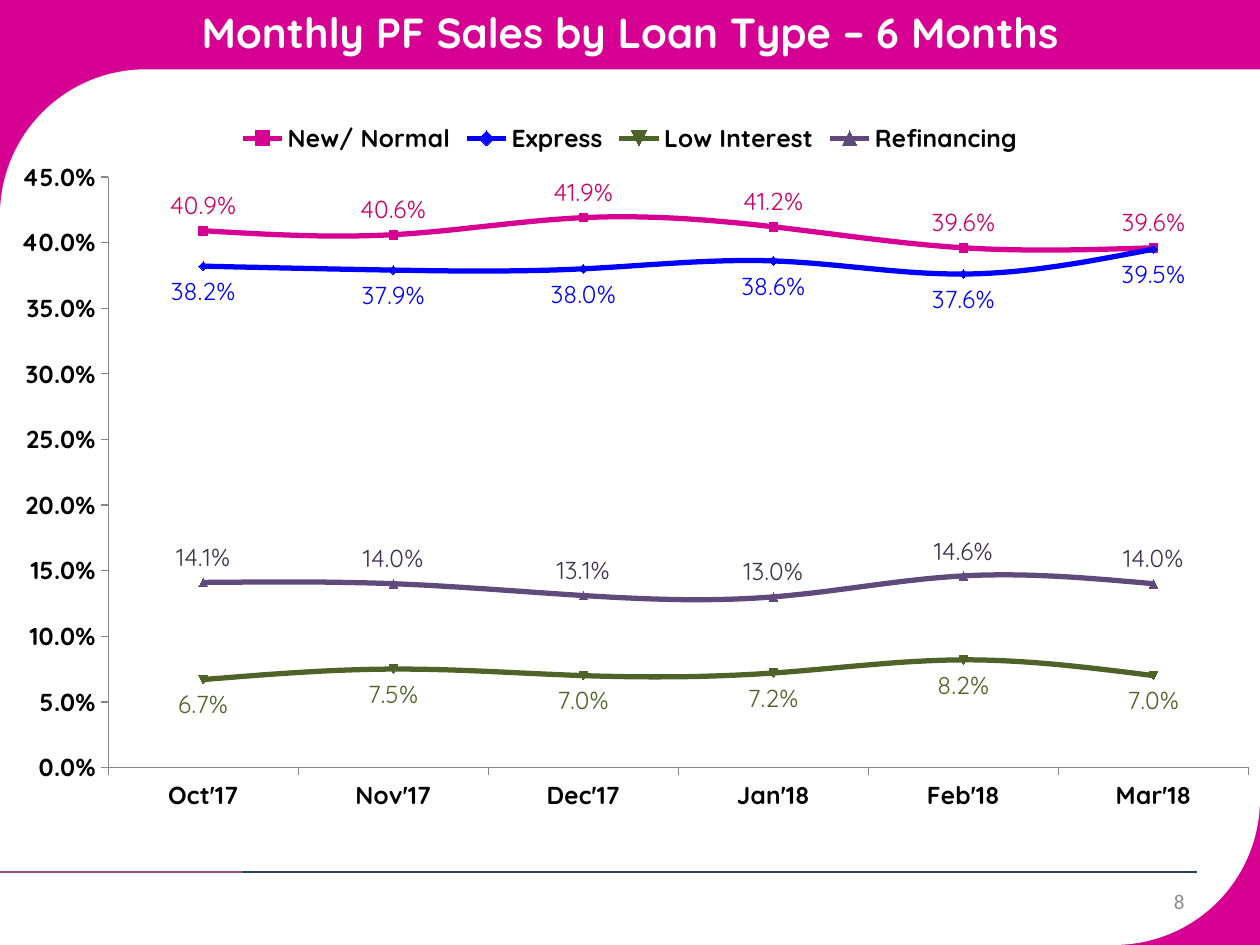
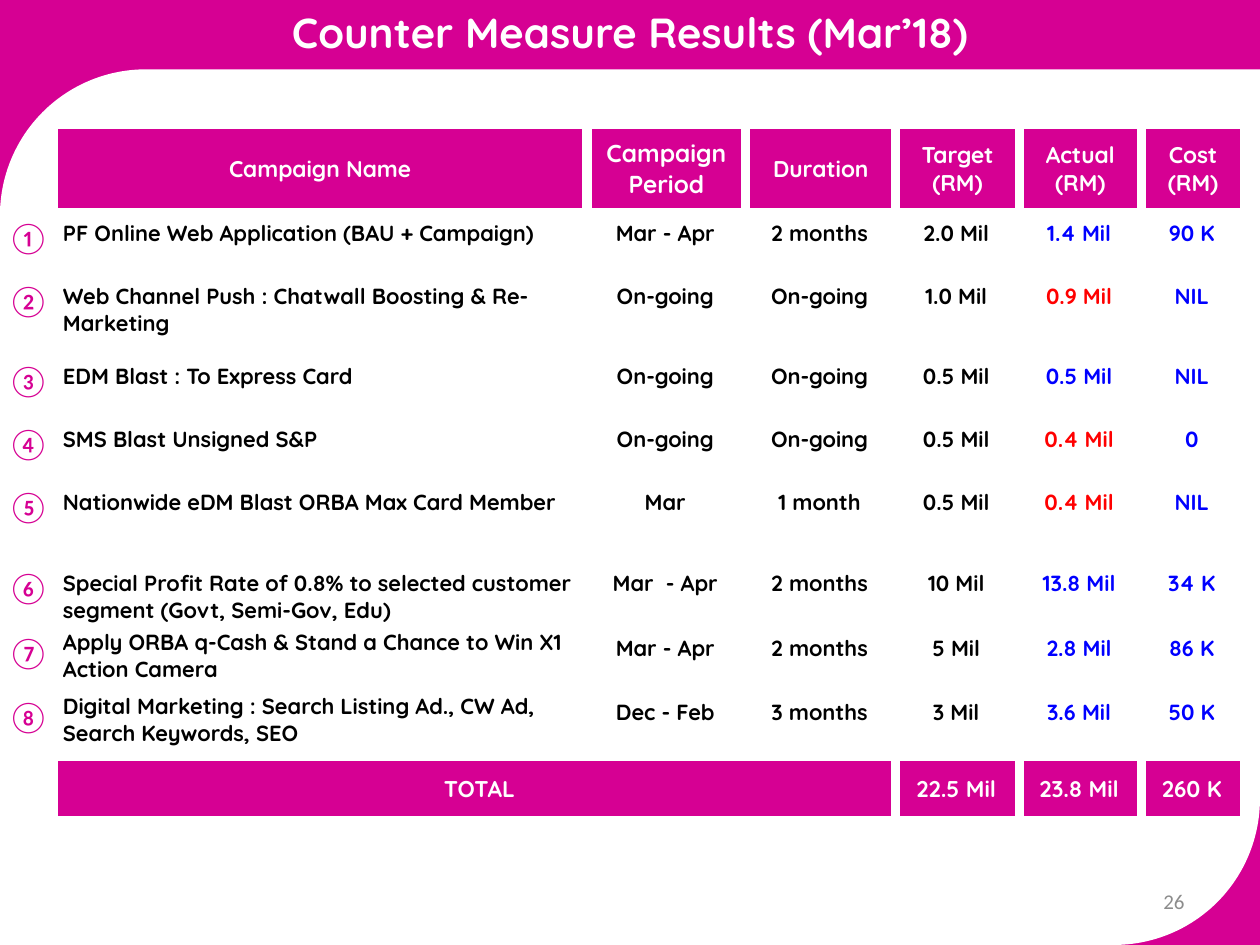
from dataclasses import dataclass

from lxml import etree
from pptx import Presentation
from pptx.chart.data import CategoryChartData
from pptx.dml.color import RGBColor
from pptx.enum.chart import XL_CHART_TYPE as ChartType
from pptx.enum.chart import XL_LABEL_POSITION as LabelPos
from pptx.enum.chart import XL_LEGEND_POSITION as LegendPos
from pptx.enum.chart import XL_MARKER_STYLE as Marker
from pptx.enum.chart import XL_TICK_MARK as Tick
from pptx.enum.shapes import MSO_CONNECTOR as Connector
from pptx.enum.shapes import MSO_SHAPE as Shape
from pptx.enum.text import MSO_ANCHOR as Anchor
from pptx.enum.text import PP_ALIGN as Align
from pptx.oxml.ns import qn
from pptx.util import Inches, Pt


@dataclass(frozen=True)
class Theme:
    font: str = "Quicksand"
    number_font: str = "Calibri"
    brand: str = "D60093"
    white: str = "FFFFFF"
    black: str = "000000"
    blue: str = "0000FF"
    red: str = "FF0000"
    green: str = "4F6228"
    purple: str = "604A7B"
    grey: str = "8C8C8C"
    axis: str = "868686"
    rule_short: str = "9D4D7D"
    rule_long: str = "254061"
    title_size: float = 24
    chart_size: float = 14
    page_size: float = 12
    header_size: float = 13
    body_size: float = 12.5
    bullet_size: float = 18


T = Theme()
NO_STYLE = "{2D5ABB26-0587-4C30-8999-92F81FD0307C}"


@dataclass(frozen=True)
class LoanSeries:
    name: str
    values: tuple[float, ...]
    color: str
    label_color: str
    label_pos: LabelPos


@dataclass(frozen=True)
class Campaign:
    name: str
    period: str
    duration: str
    target: str
    actual: str
    cost: str
    actual_color: str = T.blue
    tight: bool = False


@dataclass(frozen=True)
class CellStyle:
    size: float = T.body_size
    color: str = T.black
    font: str = T.font
    bold: bool = True
    align: Align = Align.CENTER
    anchor: Anchor = Anchor.TOP
    fill: str | None = None
    borders: str = ""
    insets: tuple[float, ...] = (0.08, 0.05, 0.1, 0.05)


MONTHS = ("Oct'17", "Nov'17", "Dec'17", "Jan'18", "Feb'18", "Mar'18")
LOANS = (
    LoanSeries("New/ Normal", (0.409, 0.406, 0.419, 0.412, 0.396, 0.396),
               T.brand, "CC0066", LabelPos.ABOVE),
    LoanSeries("Express", (0.382, 0.379, 0.38, 0.386, 0.376, 0.395),
               T.blue, T.blue, LabelPos.BELOW),
    LoanSeries("Low Interest", (0.067, 0.075, 0.07, 0.072, 0.082, 0.07),
               T.green, T.green, LabelPos.BELOW),
    LoanSeries("Refinancing", (0.141, 0.14, 0.131, 0.13, 0.146, 0.14),
               T.purple, "403152", LabelPos.ABOVE),
)

COLUMNS = (0.46, 4.24, 1.26, 1.19, 0.98, 0.97, 0.82)
ROWS = (0.7, 0.5, 0.64, 0.5, 0.5, 0.64, 0.5, 0.51, 0.51, 0.51)
HEADERS = ("Campaign Name", "Campaign\nPeriod", "Duration",
           "Target\n(RM)", "Actual\n(RM)", "Cost\n(RM)")
BULLETS = "①②③④⑤⑥⑦⑧"
CAMPAIGNS = (
    Campaign("PF Online Web Application (BAU + Campaign)",
             "Mar - Apr", "2 months", "2.0 Mil", "1.4 Mil", "90 K"),
    Campaign("Web Channel Push : Chatwall Boosting & Re-Marketing",
             "On-going", "On-going", "1.0 Mil", "0.9 Mil", "NIL", T.red),
    Campaign("EDM Blast : To Express Card",
             "On-going", "On-going", "0.5 Mil", "0.5 Mil", "NIL"),
    Campaign("SMS Blast Unsigned S&P",
             "On-going", "On-going", "0.5 Mil", "0.4 Mil", "0", T.red),
    Campaign("Nationwide eDM Blast ORBA Max Card Member",
             "Mar", "1 month", "0.5 Mil", "0.4 Mil", "NIL", T.red),
    Campaign("Special Profit Rate of 0.8% to selected customer segment (Govt, Semi-Gov, Edu)",
             "Mar  - Apr", "2 months", "10 Mil", "13.8 Mil", "34 K"),
    Campaign("Apply ORBA q-Cash & Stand a Chance to Win X1 Action Camera",
             "Mar - Apr", "2 months", "5 Mil", "2.8 Mil", "86 K", tight=True),
    Campaign("Digital Marketing : Search Listing Ad., CW Ad, Search Keywords, SEO",
             "Dec - Feb", "3 months", "3 Mil", "3.6 Mil", "50 K", tight=True),
)
TOTALS = ("22.5 Mil", "23.8 Mil", "260 K")


def rgb(color: str) -> RGBColor:
    return RGBColor.from_string(color)


def set_font(font, size: float, color: str, bold: bool = False, name: str = T.font) -> None:
    for attr, value in {"size": Pt(size), "bold": bold, "name": name}.items():
        setattr(font, attr, value)
    font.color.rgb = rgb(color)


# Shared slide frame
def add_panel(s, kind: Shape, top: float, color: str) -> None:
    sp = s.shapes.add_shape(kind, 0, Inches(top), Inches(10), Inches(7.5 - top))
    sp.shadow.inherit = False
    sp.fill.solid()
    sp.fill.fore_color.rgb = rgb(color)
    sp.line.fill.background()


def add_text(s, text: str, box: tuple[float, ...], align: Align, anchor: Anchor, **font) -> None:
    tf = s.shapes.add_textbox(*map(Inches, box)).text_frame
    tf.word_wrap = True
    tf.vertical_anchor = anchor
    p = tf.paragraphs[0]
    p.alignment = align
    r = p.add_run()
    r.text = text
    set_font(r.font, **font)


def add_frame(prs, title: str, page: int):
    s = prs.slides.add_slide(prs.slide_layouts[6])
    add_panel(s, Shape.RECTANGLE, 0, T.brand)
    add_panel(s, Shape.ROUND_2_DIAG_RECTANGLE, 0.55, T.white)
    add_text(s, str(page), (7.17, 6.95, 2.33, 0.4), Align.RIGHT, Anchor.MIDDLE,
             size=T.page_size, color=T.grey, name=T.number_font)
    add_text(s, title, (0, 0, 10, 0.8), Align.CENTER, Anchor.TOP,
             size=T.title_size, color=T.white, bold=True)
    return s


def add_rule(s, start: float, end: float, color: str) -> None:
    y = Inches(6.92)
    line = s.shapes.add_connector(Connector.STRAIGHT, Inches(start), y, Inches(end), y)
    line.line.color.rgb = rgb(color)
    line.line.width = Pt(1.25)
    etree.SubElement(line._element.spPr, qn("a:effectLst"))


# Loan type chart
def place_plot(chart, x: float, y: float, w: float, h: float) -> None:
    area = chart._chartSpace.chart.plotArea
    for old in area.findall(qn("c:layout")):
        area.remove(old)
    layout = etree.Element(qn("c:layout"))
    area.insert(0, layout)
    manual = etree.SubElement(layout, qn("c:manualLayout"))
    values = {"layoutTarget": "inner", "xMode": "edge", "yMode": "edge",
              "x": x, "y": y, "w": w, "h": h}
    for tag, value in values.items():
        etree.SubElement(manual, qn(f"c:{tag}")).set("val", str(value))


def style_series(series, loan: LoanSeries) -> None:
    series.smooth = True
    series.format.line.color.rgb = rgb(loan.color)
    series.format.line.width = Pt(3)
    marker = series.marker
    marker.style = Marker.AUTOMATIC
    marker.size = 5
    marker.format.fill.solid()
    marker.format.fill.fore_color.rgb = rgb(loan.color)
    marker.format.line.color.rgb = rgb(loan.color)
    labels = series.data_labels
    formats = {"show_value": True, "position": loan.label_pos,
               "number_format": "0.0%", "number_format_is_linked": False}
    for attr, value in formats.items():
        setattr(labels, attr, value)
    set_font(labels.font, T.chart_size, loan.label_color)


def add_loan_chart(s) -> None:
    data = CategoryChartData(number_format="0.0%")
    data.categories = MONTHS
    for loan in LOANS:
        data.add_series(loan.name, loan.values)
    chart = s.shapes.add_chart(ChartType.LINE_MARKERS, 0, Inches(0.86),
                               Inches(10), Inches(5.86), data).chart
    chart.has_title = False
    set_font(chart.font, T.chart_size, T.black)
    chart.has_legend = True
    chart.legend.position = LegendPos.TOP
    chart.legend.include_in_layout = False
    set_font(chart.legend.font, T.chart_size, T.black, True)
    for axis in (chart.category_axis, chart.value_axis):
        axis.has_major_gridlines = False
        axis.major_tick_mark = Tick.OUTSIDE
        axis.minor_tick_mark = Tick.NONE
        axis.format.line.color.rgb = rgb(T.axis)
        set_font(axis.tick_labels.font, T.chart_size, T.black, True)
    scale = {"minimum_scale": 0, "maximum_scale": 0.45, "major_unit": 0.05}
    for attr, value in scale.items():
        setattr(chart.value_axis, attr, value)
    chart.value_axis.tick_labels.number_format = "0.0%"
    chart.value_axis.tick_labels.number_format_is_linked = False
    plot = chart.plots[0]
    plot.vary_by_categories = False
    for series, loan in zip(plot.series, LOANS):
        style_series(series, loan)
    place_plot(chart, 0.086, 0.093, 0.905, 0.8)


# Campaign table
def add_borders(cell, sides: str) -> None:
    tc_pr = cell._tc.get_or_add_tcPr()
    for i, side in enumerate(sides):
        ln = etree.Element(qn(f"a:ln{side}"), w=str(Pt(6)))
        fill = etree.SubElement(ln, qn("a:solidFill"))
        etree.SubElement(fill, qn("a:srgbClr"), val=T.white)
        tc_pr.insert(i, ln)


def fill_cell(cell, text: str, style: CellStyle) -> None:
    for side, inset in zip(("left", "top", "right", "bottom"), style.insets):
        setattr(cell, f"margin_{side}", Inches(inset))
    cell.vertical_anchor = style.anchor
    if style.fill:
        cell.fill.solid()
        cell.fill.fore_color.rgb = rgb(style.fill)
    else:
        cell.fill.background()
    add_borders(cell, style.borders)
    tf = cell.text_frame
    for i, line in enumerate(text.split("\n")):
        p = tf.add_paragraph() if i else tf.paragraphs[0]
        p.alignment = style.align
        if line:
            r = p.add_run()
            r.text = line
            set_font(r.font, style.size, style.color, style.bold, style.font)


def band_style(size: float = T.header_size, insets=(0.1, 0.05, 0.1, 0.05)) -> CellStyle:
    return CellStyle(size, T.white, anchor=Anchor.MIDDLE, fill=T.brand,
                     borders="LRTB", insets=insets)


def add_campaign_table(s) -> None:
    frame = s.shapes.add_table(len(ROWS), len(COLUMNS), Inches(-0.04), Inches(0.99),
                               Inches(sum(COLUMNS)), Inches(sum(ROWS)))
    table = frame.table
    table.first_row = table.horz_banding = False
    table._tbl.tblPr.find(qn("a:tableStyleId")).text = NO_STYLE
    for column, width in zip(table.columns, COLUMNS):
        column.width = Inches(width)
    for row, height in zip(table.rows, ROWS):
        row.height = Inches(height)
    last = len(ROWS) - 1

    # Header and total bands
    for row in (0, last):
        fill_cell(table.cell(row, 0), "", CellStyle(borders="R"))
    for col, text in enumerate(HEADERS, 1):
        fill_cell(table.cell(0, col), text, band_style(14 if col == 2 else T.header_size))
    table.cell(last, 1).merge(table.cell(last, 3))
    for col in (1, 2, 3):
        fill_cell(table.cell(last, col), "TOTAL" if col == 1 else "",
                  band_style(insets=(0.08, 0, 0, 0)))
    for col, text in enumerate(TOTALS, 4):
        fill_cell(table.cell(last, col), text, band_style(insets=CellStyle.insets))

    # Campaign rows
    bullet_style = CellStyle(T.bullet_size, T.brand, T.number_font, False, Align.LEFT,
                             insets=(0.1, 0.05, 0.1, 0.05))
    for row, (bullet, c) in enumerate(zip(BULLETS, CAMPAIGNS), 1):
        edge = {1: "T", last - 1: "B"}.get(row, "")
        fill_cell(table.cell(row, 0), bullet, bullet_style)
        insets = (0.08, 0, 0, 0) if c.tight else CellStyle.insets
        fill_cell(table.cell(row, 1), c.name,
                  CellStyle(align=Align.LEFT, borders=edge, insets=insets))
        values = ((c.period, T.black), (c.duration, T.black), (c.target, T.black),
                  (c.actual, c.actual_color), (c.cost, T.blue))
        for col, (text, color) in enumerate(values, 2):
            fill_cell(table.cell(row, col), text, CellStyle(color=color, borders=edge))


def main() -> None:
    prs = Presentation()
    prs.slide_width, prs.slide_height = Inches(10), Inches(7.5)

    s = add_frame(prs, "Monthly PF Sales by Loan Type – 6 Months", 8)
    add_rule(s, 0, 9.33, T.rule_short)
    add_rule(s, 1.92, 9.5, T.rule_long)
    add_loan_chart(s)

    s = add_frame(prs, "Counter Measure Results (Mar’18)", 26)
    add_campaign_table(s)

    prs.save("out.pptx")


if __name__ == "__main__":
    main()
